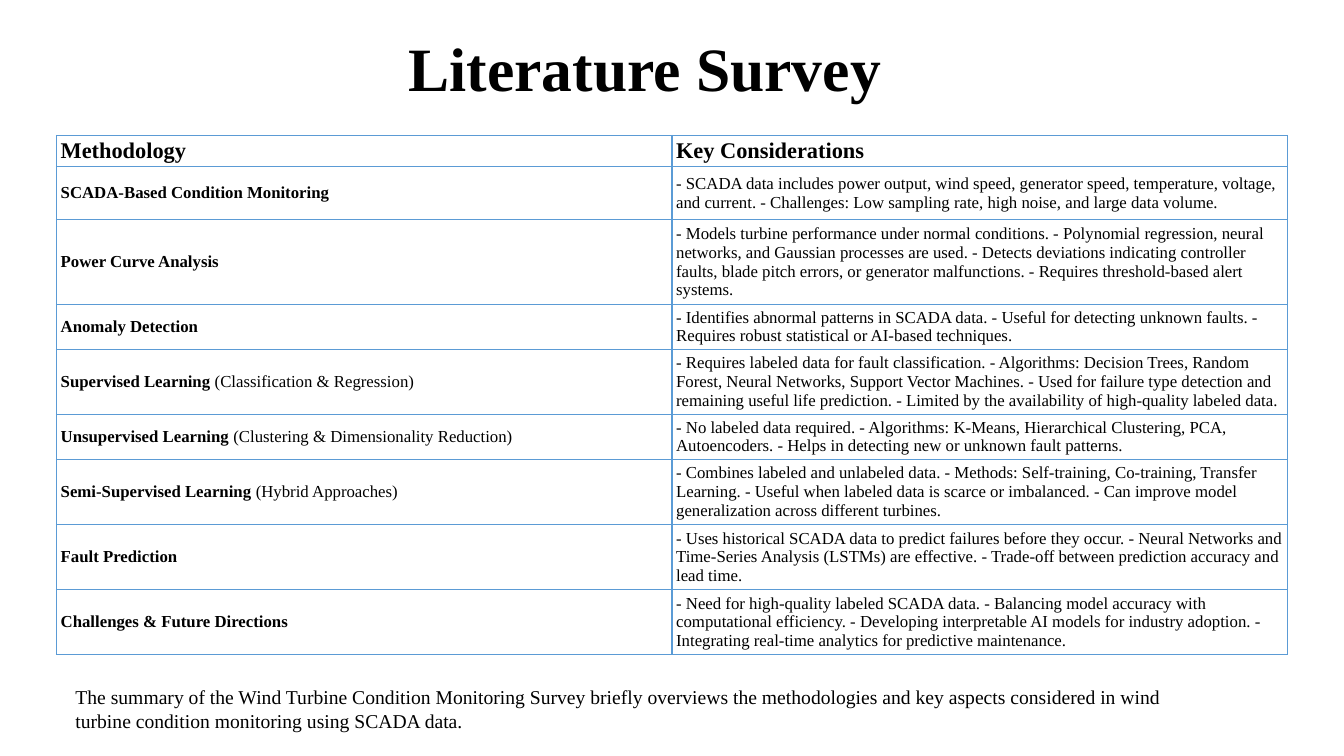
import pptx
import pptx.dml.color
import pptx.enum.text
import pptx.oxml
import pptx.oxml.ns
import pptx.util

Pt = pptx.util.Pt
Align = pptx.enum.text.PP_ALIGN
Anchor = pptx.enum.text.MSO_ANCHOR

COLORS = {"text": "000000", "border": "5B9BD5"}
FONT = "Times New Roman"

TITLE = "Literature Survey"
HEADINGS = ("Methodology", "Key Considerations")
SUMMARY = (
    "The summary of the Wind Turbine Condition Monitoring Survey briefly overviews the "
    "methodologies and key aspects considered in wind turbine condition monitoring using "
    "SCADA data."
)
# Method, remark after it, considerations, row height
METHODS = [
    ("SCADA-Based Condition Monitoring", "",
     "- SCADA data includes power output, wind speed, generator speed, temperature, voltage, "
     "and current. - Challenges: Low sampling rate, high noise, and large data volume.", 38.2),
    ("Power Curve Analysis", "",
     "- Models turbine performance under normal conditions. - Polynomial regression, neural "
     "networks, and Gaussian processes are used. - Detects deviations indicating controller "
     "faults, blade pitch errors, or generator malfunctions. - Requires threshold-based alert "
     "systems.", 55.8),
    ("Anomaly Detection", "",
     "- Identifies abnormal patterns in SCADA data. - Useful for detecting unknown faults. - "
     "Requires robust statistical or AI-based techniques.", 29.5),
    ("Supervised Learning", " (Classification & Regression)",
     "- Requires labeled data for fault classification. - Algorithms: Decision Trees, Random "
     "Forest, Neural Networks, Support Vector Machines. - Used for failure type detection and "
     "remaining useful life prediction. - Limited by the availability of high-quality labeled "
     "data.", 46.8),
    ("Unsupervised Learning", " (Clustering & Dimensionality Reduction)",
     "- No labeled data required. - Algorithms: K-Means, Hierarchical Clustering, PCA, "
     "Autoencoders. - Helps in detecting new or unknown fault patterns.", 29.5),
    ("Semi-Supervised Learning", " (Hybrid Approaches)",
     "- Combines labeled and unlabeled data. - Methods: Self-training, Co-training, Transfer "
     "Learning. - Useful when labeled data is scarce or imbalanced. - Can improve model "
     "generalization across different turbines.", 46.8),
    ("Fault Prediction", "",
     "- Uses historical SCADA data to predict failures before they occur. - Neural Networks and "
     "Time-Series Analysis (LSTMs) are effective. - Trade-off between prediction accuracy and "
     "lead time.", 43),
    ("Challenges & Future Directions", "",
     "- Need for high-quality labeled SCADA data. - Balancing model accuracy with "
     "computational efficiency. - Developing interpretable AI models for industry adoption. - "
     "Integrating real-time analytics for predictive maintenance.", 46.8),
]

SLIDE_SIZE = (960, 540)
TEXT_LEFT, TEXT_WIDTH = 46.8, 828
TITLE_TOP, TITLE_HEIGHT = -1.4, 104.4
SUMMARY_TOP, SUMMARY_HEIGHT = 486, 41
TABLE_LEFT, TABLE_TOP, COLUMN_WIDTH = 40.4, 96.7, 439.6
HEADING_HEIGHT = 20.7
BORDER_WIDTH = 1


def write(frame, spans, size, align=Align.LEFT, anchor=Anchor.TOP, line_spacing=None):
    """Fill the frame's first paragraph with (text, bold) spans."""
    frame.word_wrap = True
    frame.vertical_anchor = anchor
    para = frame.paragraphs[0]
    para.alignment = align
    para.line_spacing = line_spacing
    for text, bold in spans:
        span = para.add_run()
        span.text = text
        span.font.name = FONT
        span.font.size = Pt(size)
        span.font.bold = bold
        span.font.color.rgb = pptx.dml.color.RGBColor.from_string(COLORS["text"])


def add_text(page, top, height, spans, size, **text_format):
    box = page.shapes.add_textbox(Pt(TEXT_LEFT), Pt(top), Pt(TEXT_WIDTH), Pt(height))
    write(box.text_frame, spans, size, **text_format)


def add_borders(cell):
    properties = cell._tc.get_or_add_tcPr()
    for position, side in enumerate(("lnL", "lnR", "lnT", "lnB")):
        line = pptx.oxml.parse_xml(
            f'<a:{side} {pptx.oxml.ns.nsdecls("a")} w="{Pt(BORDER_WIDTH)}"><a:solidFill>'
            f'<a:srgbClr val="{COLORS["border"]}"/></a:solidFill></a:{side}>'
        )
        properties.insert(position, line)


def fill_cell(cell, spans, size):
    cell.margin_left = cell.margin_right = Pt(3)
    cell.margin_top = cell.margin_bottom = Pt(1.5)
    cell.fill.background()
    add_borders(cell)
    write(cell.text_frame, spans, size)
    cell.vertical_anchor = Anchor.MIDDLE


def add_survey(page):
    rows = [([[(heading, True)] for heading in HEADINGS], 16, HEADING_HEIGHT)]
    for method, remark, considerations, height in METHODS:
        name = [(method, True)] + ([(remark, False)] if remark else [])
        rows.append(([name, [(considerations, False)]], 12, height))

    survey = page.shapes.add_table(
        len(rows), len(HEADINGS), Pt(TABLE_LEFT), Pt(TABLE_TOP),
        Pt(COLUMN_WIDTH * len(HEADINGS)), Pt(sum(row[2] for row in rows)),
    ).table
    survey.first_row = survey.horz_banding = False
    for column in survey.columns:
        column.width = Pt(COLUMN_WIDTH)
    for row_index, (cells, size, height) in enumerate(rows):
        survey.rows[row_index].height = Pt(height)
        for column_index, spans in enumerate(cells):
            fill_cell(survey.cell(row_index, column_index), spans, size)


def main():
    deck = pptx.Presentation()
    deck.slide_width, deck.slide_height = map(Pt, SLIDE_SIZE)
    page = deck.slides.add_slide(deck.slide_layouts[6])
    add_text(page, TITLE_TOP, TITLE_HEIGHT, [(TITLE, True)], 44,
             align=Align.CENTER, anchor=Anchor.MIDDLE, line_spacing=0.9)
    add_survey(page)
    add_text(page, SUMMARY_TOP, SUMMARY_HEIGHT, [(SUMMARY, False)], 14)
    deck.save("out.pptx")


if __name__ == "__main__":
    main()
